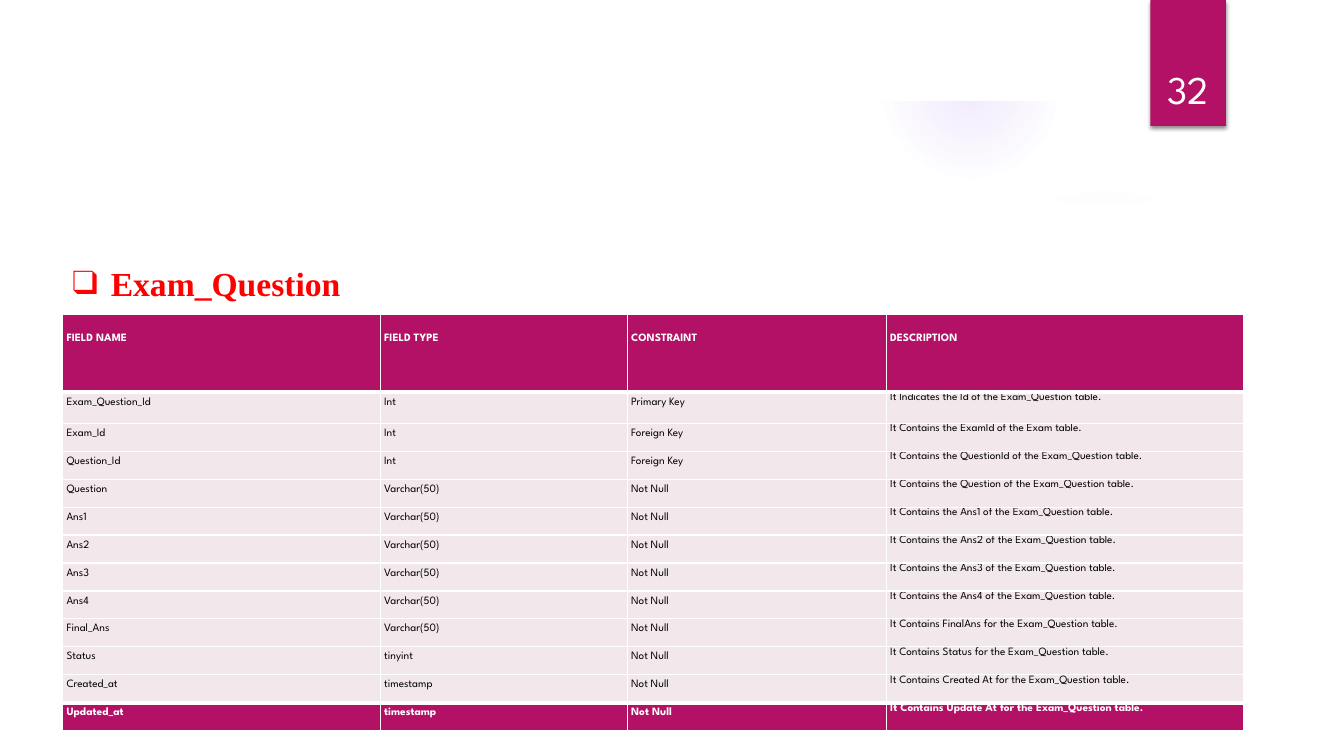
"""Build the Exam_Question data dictionary slide."""
from dataclasses import dataclass

from pptx import Presentation
from pptx.dml.color import RGBColor
from pptx.enum.shapes import MSO_SHAPE as Shape
from pptx.enum.text import MSO_ANCHOR as Anchor, MSO_AUTO_SIZE as AutoSize, PP_ALIGN as Align
from pptx.oxml import parse_xml
from pptx.util import Inches, Pt

NS = 'xmlns:a="http://schemas.openxmlformats.org/drawingml/2006/main"'


@dataclass(frozen=True)
class Theme:
    accent: str = "B31166"
    white: str = "FFFFFF"
    black: str = "000000"
    title: str = "FF0000"
    band: str = "F2E7EA"
    glow: str = "9B6BF2"
    sans: str = "League Spartan"
    serif: str = "Times New Roman"
    number_size: int = 28
    title_size: int = 24
    table_size: int = 8


theme = Theme()


def write(para, text, font, color, spacing):
    for name, value in spacing.items():
        setattr(para, name, value)
    span = para.add_run()
    span.text = text
    for name, value in font.items():
        setattr(span.font, name, value)
    span.font.color.rgb = RGBColor.from_string(color)


def paint(shape, color):
    shape.shadow.inherit = False
    shape.fill.solid()
    shape.fill.fore_color.rgb = RGBColor.from_string(color)
    shape.line.fill.background()


deck = Presentation()
deck.slide_width, deck.slide_height = Inches(13.33), Inches(7.5)
page = deck.slides.add_slide(deck.slide_layouts[6])
shapes = page.shapes

glows = [
    (9.41, 1.83, 3.08, [(0, 7), (36, 6), (69, 0)]),
    (8.75, 0.01, 1.75, [(0, 14), (36, 7), (73, 0)]),
]
for left, top, size, stops in glows:
    glow = shapes.add_shape(Shape.OVAL, Inches(left), Inches(top), Inches(size), Inches(size))
    paint(glow, theme.white)
    stop_xml = "".join(
        f'<a:gs pos="{place * 1000}"><a:srgbClr val="{theme.glow}">'
        f'<a:alpha val="{alpha * 1000}"/></a:srgbClr></a:gs>'
        for place, alpha in stops
    )
    gradient = parse_xml(
        f'<a:gradFill {NS}><a:gsLst>{stop_xml}</a:gsLst><a:path path="circle">'
        '<a:fillToRect l="50000" t="50000" r="50000" b="50000"/></a:path></a:gradFill>'
    )
    solid = glow.fill._xPr.find("{*}solidFill")
    solid.getparent().replace(solid, gradient)

veil = [(9.34, 2.5), (10.8, 2.42), (12.89, 2.14), (12.83, 1.66), (12.02, 1.91),
        (11.09, 2.14), (10.2, 2.3), (9.3, 2.43)]
panel = [(0.5, 2.04), (2.16, 2.24), (4.01, 2.38), (5.83, 2.46), (7.08, 2.48), (8.4, 2.46),
         (9.49, 2.41), (10.6, 2.32), (11.72, 2.2), (12.84, 2.04), (12.84, 7), (0.5, 7)]
outer = [(0, 0), (0, 7.5), (13.33, 7.5), (13.33, 0)]
inner = [(12.81, 6.98), (0.52, 6.98), (0.52, 0.52), (12.81, 0.52)]
for contours, alpha in [([veil], 20), ([panel], 100), ([outer, inner], 100)]:
    builder = shapes.build_freeform(*contours[0][0], scale=Inches(1))
    for index, points in enumerate(contours):
        if index:
            builder.move_to(*points[0])
        builder.add_line_segments(points[1:], close=True)
    cover = builder.convert_to_shape()
    paint(cover, theme.white)
    if alpha < 100:
        cover.fill._xPr.find("{*}solidFill")[0].append(
            parse_xml(f'<a:alpha {NS} val="{alpha * 1000}"/>'))

badge = shapes.add_shape(Shape.RECTANGLE, Inches(11.41), Inches(0), Inches(0.75), Inches(1.25))
paint(badge, theme.accent)
badge._element.spPr.find("{*}effectLst").append(parse_xml(
    f'<a:outerShdw {NS} blurRad="{Pt(3)}" dist="{Pt(2)}" dir="5400000" rotWithShape="0">'
    f'<a:srgbClr val="{theme.black}"><a:alpha val="45000"/></a:srgbClr></a:outerShdw>'))

number = shapes.add_textbox(Inches(11.32), Inches(0.32), Inches(0.92), Inches(0.84)).text_frame
number.word_wrap = True
number.vertical_anchor = Anchor.BOTTOM
write(number.paragraphs[0], "32", {"name": theme.sans, "size": Pt(theme.number_size)},
      theme.white, {"alignment": Align.CENTER})

title = shapes.add_textbox(Inches(0.62), Inches(2.53), Inches(2.88), Inches(0.51)).text_frame
title.word_wrap = False
title.auto_size = AutoSize.SHAPE_TO_FIT_TEXT
loose = {"alignment": Align.JUSTIFY, "line_spacing": 1.07, "space_after": Pt(8)}
write(title.paragraphs[0], "Exam_Question",
      {"name": theme.serif, "size": Pt(theme.title_size), "bold": True}, theme.title, loose)
props = title.paragraphs[0]._p.get_or_add_pPr()
props.set("marL", str(Inches(0.38)))
props.set("indent", str(-Inches(0.38)))
props.append(parse_xml(f'<a:buFont {NS} typeface="Wingdings"/>'))
props[-1].set("typeface", theme.serif)
props.append(parse_xml(f'<a:buChar {NS} char="❑"/>'))

rows = [
    ("FIELD NAME", "FIELD TYPE", "CONSTRAINT", "DESCRIPTION"),
    ("Exam_Question_Id", "Int", "Primary Key", "It Indicates the Id of the Exam_Question table."),
    ("Exam_Id", "Int", "Foreign Key", "It Contains the ExamId of the Exam table."),
    ("Question_Id", "Int", "Foreign Key", "It Contains the QuestionId of the Exam_Question table."),
    ("Question", "Varchar(50)", "Not Null", "It Contains the Question of the Exam_Question table."),
    *[(f"Ans{n}", "Varchar(50)", "Not Null", f"It Contains the Ans{n} of the Exam_Question table.")
      for n in range(1, 5)],
    ("Final_Ans", "Varchar(50)", "Not Null", "It Contains FinalAns for the Exam_Question table."),
    ("Status", "tinyint", "Not Null", "It Contains Status for the Exam_Question table."),
    ("Created_at", "timestamp", "Not Null", "It Contains Created At for the Exam_Question table."),
    ("Updated_at", "timestamp", "Not Null", "It Contains Update At for the Exam_Question table."),
]
last = len(rows) - 1
widths = [3.15, 2.45, 2.57, 3.54]
heights = [0.77, 0.31] + [(4.13 - 0.77 - 0.31) / (last - 1)] * (last - 1)
table = shapes.add_table(len(rows), len(widths), Inches(0.62), Inches(3.12),
                         Inches(11.71), Inches(4.13)).table
table.horz_banding = False
table.last_row = True
for column, width in zip(table.columns, widths):
    column.width = Inches(width)
tight = {"alignment": Align.JUSTIFY, "line_spacing": 1.5}
for r, (labels, height) in enumerate(zip(rows, heights)):
    table.rows[r].height = Inches(height)
    strong = r in (0, last)
    edges = {"L": 1, "R": 1, "T": 3 if r in (1, last) else 1, "B": 3 if r in (0, last - 1) else 1}
    for c, label in enumerate(labels):
        cell = table.cell(r, c)
        margins = {"margin_left": 0.04, "margin_right": 0.04,
                   "margin_top": 0 if r else 0.14, "margin_bottom": 0}
        for name, value in margins.items():
            setattr(cell, name, Inches(value))
        cell.fill.solid()
        cell.fill.fore_color.rgb = RGBColor.from_string(theme.accent if strong else theme.band)
        for index, (side, weight) in enumerate(edges.items()):
            cell._tc.get_or_add_tcPr().insert(index, parse_xml(
                f'<a:ln{side} {NS} w="{Pt(weight)}"><a:solidFill>'
                f'<a:srgbClr val="{theme.white}"/></a:solidFill></a:ln{side}>'))
        write(cell.text_frame.paragraphs[0], label,
              {"name": theme.sans, "size": Pt(theme.table_size), "bold": strong},
              theme.white if strong else theme.black, loose if r and c == 3 else tight)

deck.save("out.pptx")
